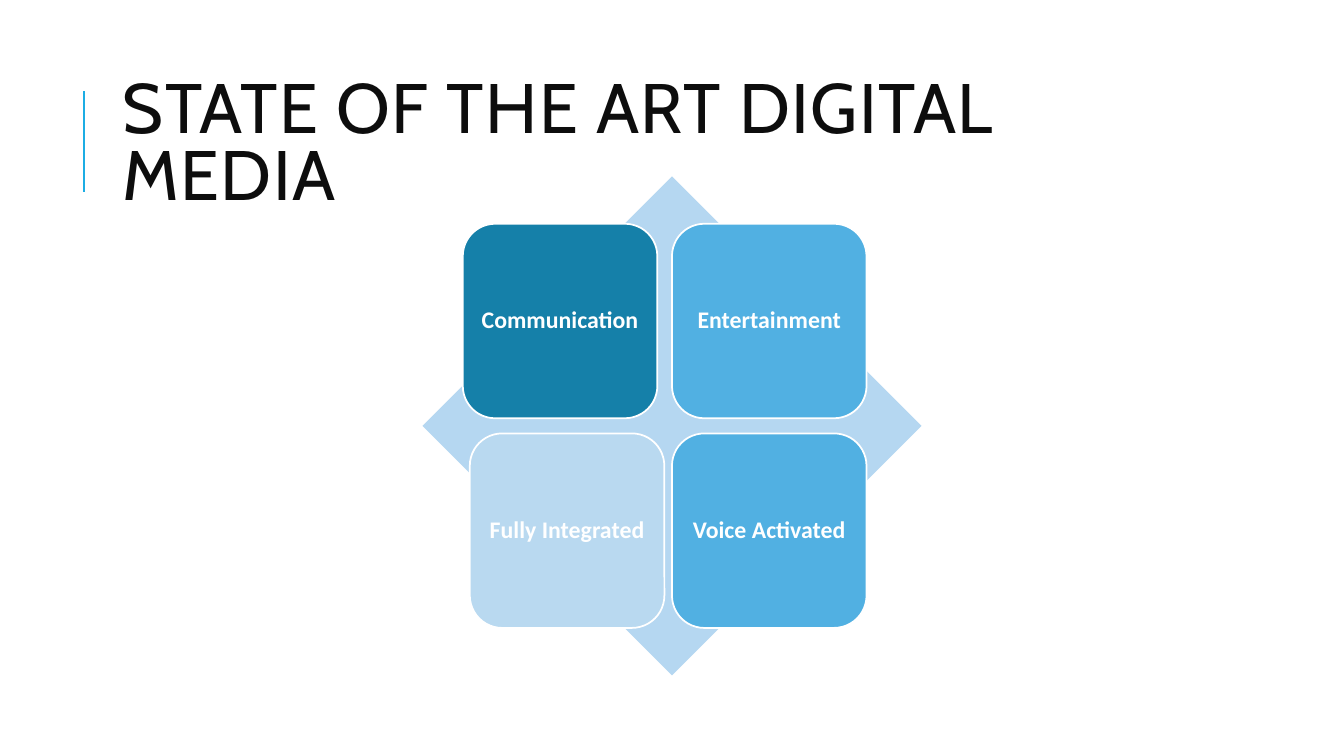
from dataclasses import dataclass

from lxml import etree
from pptx import Presentation
from pptx import util as u
from pptx.dml.color import RGBColor
from pptx.enum import shapes, text
from pptx.oxml.ns import qn


@dataclass(frozen=True)
class Theme:
    accent: str = "1CADE4"
    title: str = "0D0D0D"
    diamond: str = "B5D7F1"
    dark: str = "1580A9"
    mid: str = "51B0E2"
    pale: str = "B9D9F0"
    white: str = "FFFFFF"
    title_font: str = "Cabin"
    tile_font: str = "Calibri"
    title_size: int = 50
    tile_size: int = 17


THEME = Theme()


def rgb(value):
    return RGBColor.from_string(value)


def add_run(p, words, font, size, color, bold=False):
    r = p.add_run()
    r.text = words
    r.font.name = font
    r.font.size = u.Pt(size)
    r.font.color.rgb = rgb(color)
    r.font.bold = bold
    return r


def add_title(s, left, top, width, height, words):
    rule_x, rule_y = u.Inches(left - 0.29), top + 0.26
    rule = s.shapes.add_connector(shapes.MSO_CONNECTOR.STRAIGHT, rule_x,
                                  u.Inches(rule_y + 1), rule_x, u.Inches(rule_y))
    rule.line.color.rgb = rgb(THEME.accent)
    rule.line.width = u.Pt(1.5)
    etree.SubElement(rule._element.spPr, qn("a:effectLst"))

    sp = s.shapes.add_textbox(*map(u.Inches, (left, top, width, height)))
    tf = sp.text_frame
    tf.word_wrap = True
    tf.vertical_anchor = text.MSO_ANCHOR.MIDDLE
    p = tf.paragraphs[0]
    p.line_spacing = 0.8
    r = add_run(p, words, THEME.title_font, THEME.title_size, THEME.title)
    r.font._element.set("spc", "100")


def add_block(s, preset, left, top, size, fill):
    sp = s.shapes.add_shape(preset, *map(u.Inches, (left, top, size, size)))
    sp.shadow.inherit = False
    sp.fill.solid()
    sp.fill.fore_color.rgb = rgb(fill)
    sp.line.fill.background()
    return sp


def add_tile(s, left, top, size, words, fill):
    sp = add_block(s, shapes.MSO_SHAPE.ROUNDED_RECTANGLE, left, top, size, fill)
    sp.line.color.rgb = rgb(THEME.white)
    sp.line.width = u.Pt(1.25)
    tf = sp.text_frame
    tf.word_wrap = True
    tf.vertical_anchor = text.MSO_ANCHOR.MIDDLE
    tf.margin_left = tf.margin_right = u.Inches(0.07)
    tf.margin_top = tf.margin_bottom = u.Inches(0.07)
    p = tf.paragraphs[0]
    p.alignment = text.PP_ALIGN.CENTER
    p.line_spacing = 0.9
    add_run(p, words, THEME.tile_font, THEME.tile_size, THEME.white, bold=True)


def add_matrix(s, left, top, size, tiles):
    add_block(s, shapes.MSO_SHAPE.DIAMOND, left, top, size, THEME.diamond)
    inset, pitch, tile_size = 0.47, 2.08, 1.93
    columns = (left + inset, left + size / 2)
    for i, (words, fill, nudge) in enumerate(tiles):
        row, column = divmod(i, 2)
        add_tile(s, columns[column] + nudge, top + inset + row * pitch,
                 tile_size, words, fill)


def main():
    prs = Presentation()
    prs.slide_width = u.Inches(13.33)
    prs.slide_height = u.Inches(7.5)
    s = prs.slides.add_slide(prs.slide_layouts[6])
    add_title(s, 1.12, 0.64, 10.63, 1.64, "STATE OF THE ART DIGITAL MEDIA")
    add_matrix(s, 4.19, 1.75, 4.95, [
        ("Communication", THEME.dark, -0.07),
        ("Entertainment", THEME.mid, 0),
        ("Fully Integrated", THEME.pale, 0),
        ("Voice Activated", THEME.mid, 0),
    ])
    prs.save("out.pptx")


if __name__ == "__main__":
    main()
